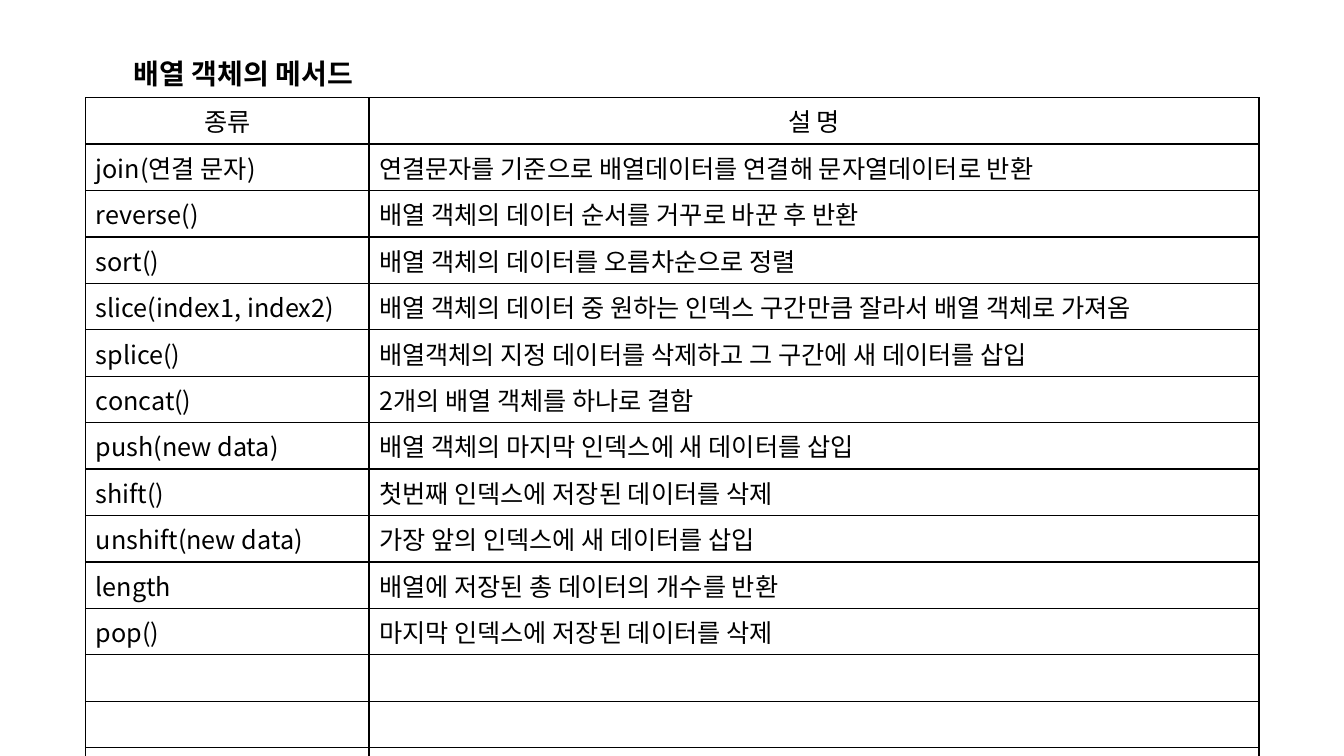
from lxml.etree import SubElement
from pptx import Presentation
from pptx.dml.color import RGBColor
from pptx.enum.text import MSO_ANCHOR, MSO_AUTO_SIZE, PP_ALIGN
from pptx.oxml.ns import qn
from pptx.util import Cm, Pt

COLORS = {"text": "000000", "border": "000000"}
FONT = "Noto Sans CJK KR"
TITLE_ONLY = 5
ROW_HEIGHT = 1.17
COLUMN_WIDTHS = (7.14, 22.43)
EMPTY_ROWS = 3

HEADER = ("종류", "설 명")
METHODS = [
    ("join(연결 문자)", "연결문자를 기준으로 배열데이터를 연결해 문자열데이터로 반환"),
    ("reverse()", "배열 객체의 데이터 순서를 거꾸로 바꾼 후 반환"),
    ("sort()", "배열 객체의 데이터를 오름차순으로 정렬"),
    ("slice(index1, index2)", "배열 객체의 데이터 중 원하는 인덱스 구간만큼 잘라서 배열 객체로 가져옴"),
    ("splice()", "배열객체의 지정 데이터를 삭제하고 그 구간에 새 데이터를 삽입"),
    ("concat()", "2개의 배열 객체를 하나로 결함"),
    ("push(new data)", "배열 객체의 마지막 인덱스에 새 데이터를 삽입"),
    ("shift()", "첫번째 인덱스에 저장된 데이터를 삭제"),
    ("unshift(new data)", "가장 앞의 인덱스에 새 데이터를 삽입"),
    ("length", "배열에 저장된 총 데이터의 개수를 반환"),
    ("pop()", "마지막 인덱스에 저장된 데이터를 삭제"),
]


def add_run(para, text, size, bold=False):
    run = para.add_run()
    run.text = text
    run.font.size = Pt(size)
    run.font.bold = bold
    run.font.name = FONT
    run.font.color.rgb = RGBColor.from_string(COLORS["text"])
    # Korean letters take the East Asian font
    SubElement(run.font._element, qn("a:ea"), typeface=FONT)


def outline_cell(cell):
    properties = cell._tc.get_or_add_tcPr()
    for side in ("a:lnL", "a:lnR", "a:lnT", "a:lnB"):
        line = SubElement(properties, qn(side), w=str(Pt(1)))
        fill = SubElement(line, qn("a:solidFill"))
        SubElement(fill, qn("a:srgbClr"), val=COLORS["border"])
    cell.fill.background()


def add_title(page, left, top, width, height):
    title = page.shapes.title
    title.left, title.top = Cm(left), Cm(top)
    title.width, title.height = Cm(width), Cm(height)
    frame = title.text_frame
    frame.word_wrap = False
    frame.auto_size = MSO_AUTO_SIZE.SHAPE_TO_FIT_TEXT
    frame.vertical_anchor = MSO_ANCHOR.TOP
    para = frame.paragraphs[0]
    para.alignment = PP_ALIGN.LEFT
    add_run(para, "배열 객체의 메서드", 20, bold=True)


def add_method_table(page, left, top):
    rows = [HEADER, *METHODS] + [("", "")] * EMPTY_ROWS
    table = page.shapes.add_table(
        len(rows), len(HEADER), Cm(left), Cm(top),
        Cm(sum(COLUMN_WIDTHS)), Cm(ROW_HEIGHT * len(rows))).table
    table.first_row = table.horz_banding = False
    for column, width in zip(table.columns, COLUMN_WIDTHS):
        column.width = Cm(width)

    for row, texts in zip(table.rows, rows):
        row.height = Cm(ROW_HEIGHT)
        for cell, text in zip(row.cells, texts):
            outline_cell(cell)
            para = cell.text_frame.paragraphs[0]
            para.alignment = PP_ALIGN.CENTER if texts is HEADER else PP_ALIGN.LEFT
            if text:
                add_run(para, text, 18)


def main():
    deck = Presentation()
    deck.slide_width, deck.slide_height = Cm(33.87), Cm(19.05)
    page = deck.slides.add_slide(deck.slide_layouts[TITLE_ONLY])

    # Method table, then the heading above it
    add_method_table(page, 2.16, 2.46)
    add_title(page, 3.12, 1.3, 6.71, 1.12)

    deck.save("out.pptx")


if __name__ == "__main__":
    main()
